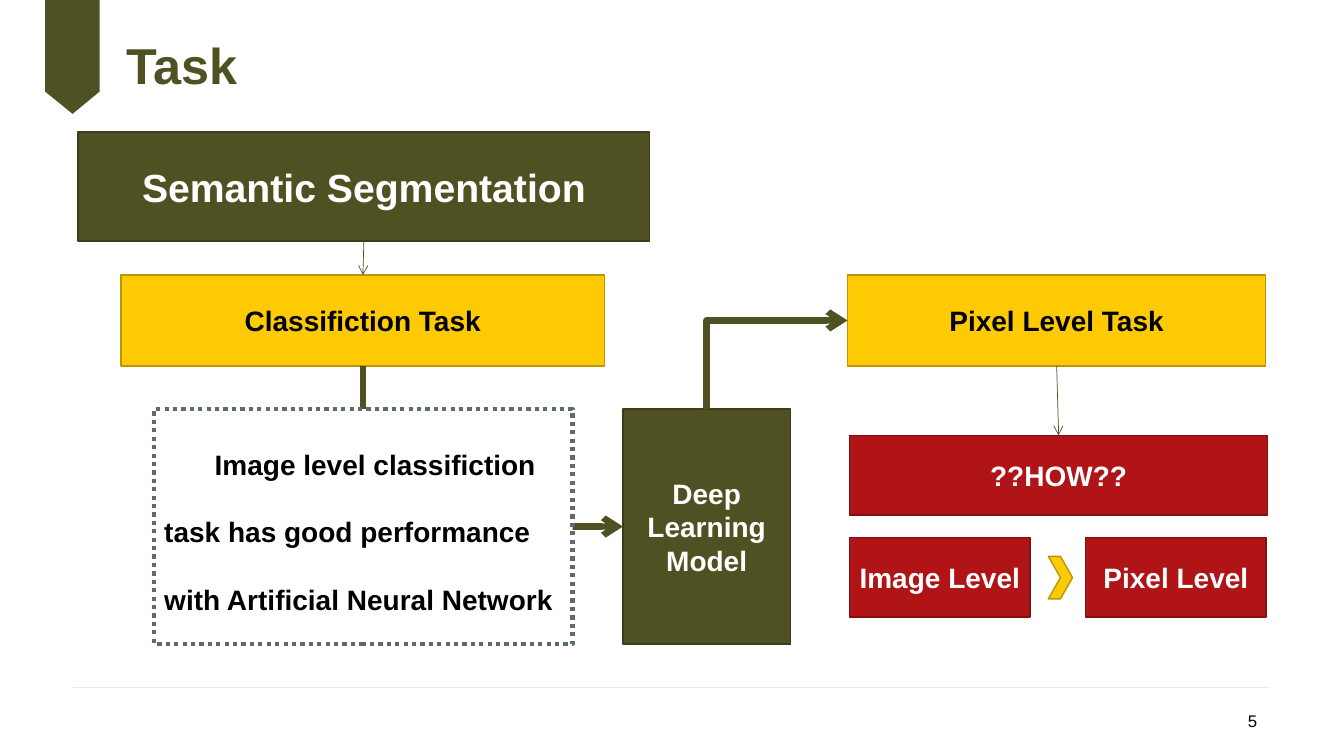
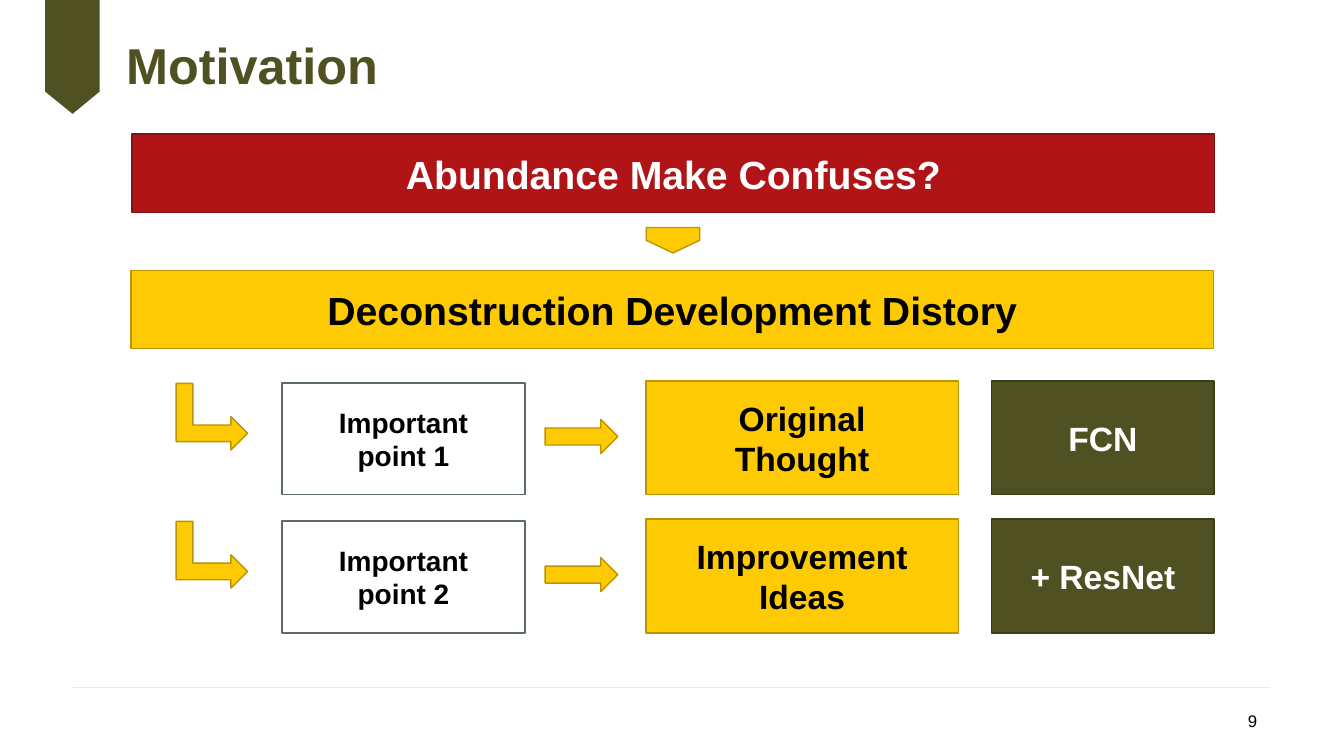
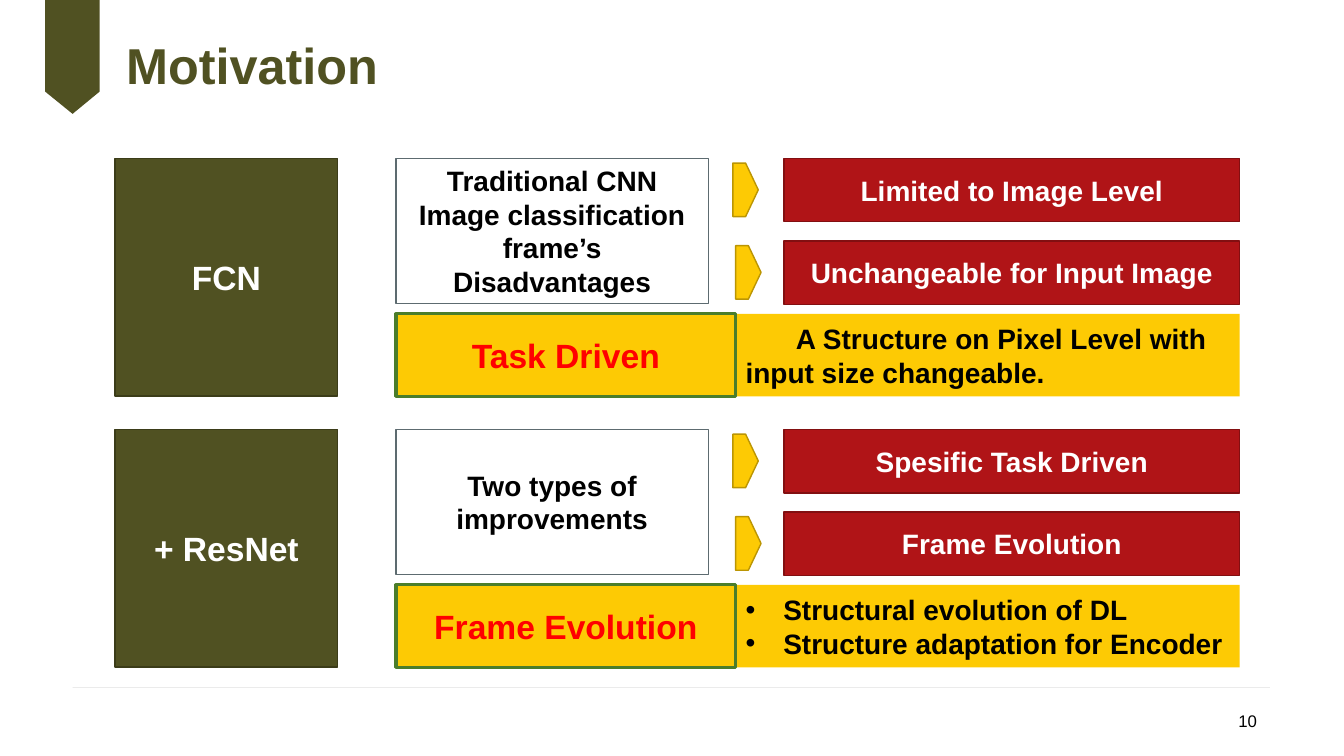
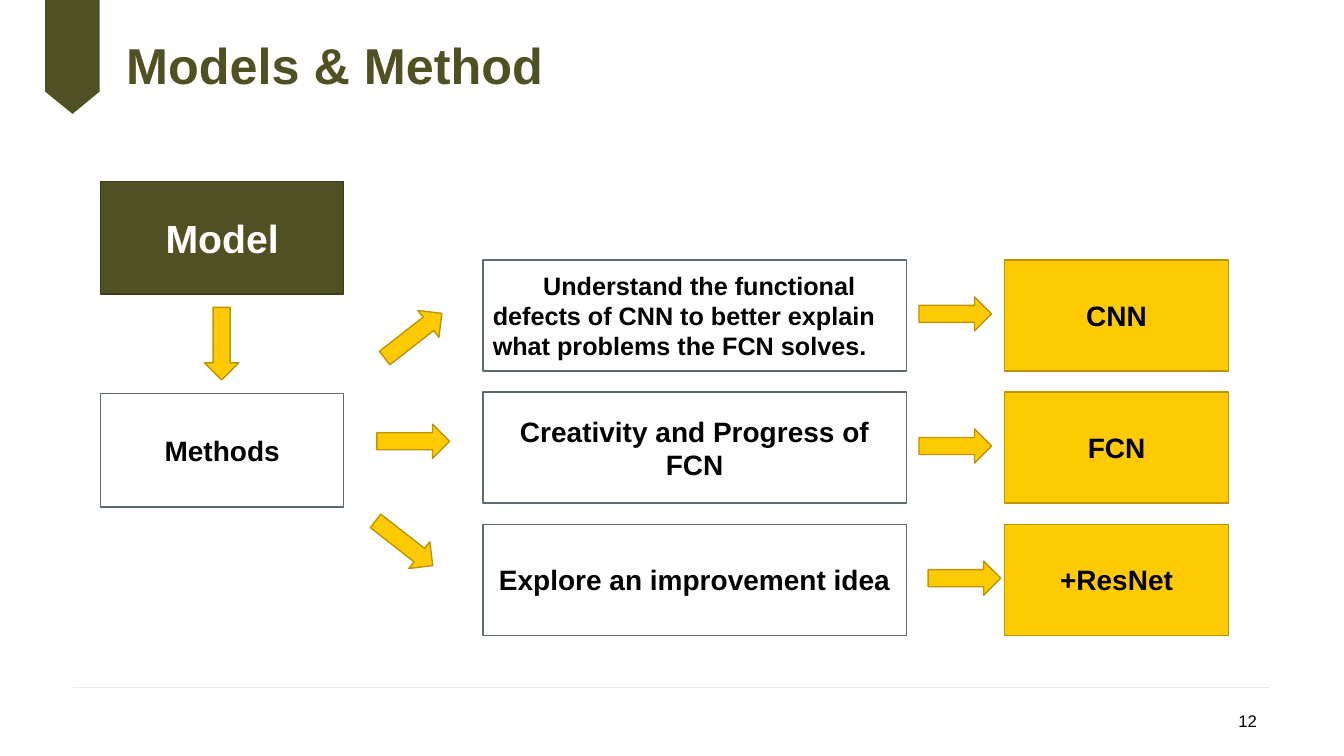
from dataclasses import dataclass
from typing import Optional

from lxml import etree
from pptx import Presentation
from pptx import util as u
from pptx.dml.color import RGBColor
from pptx.enum import dml, shapes, text
from pptx.oxml.ns import qn

SHAPE = shapes.MSO_SHAPE
CONNECTOR = shapes.MSO_CONNECTOR
TOP, LEFT, BOTTOM = 0, 1, 2


@dataclass(frozen=True)
class Style:
    fill: str
    ink: str
    line: Optional[str] = None
    weight: float = 1
    dash: Optional[dml.MSO_LINE] = None


class Theme:
    font = "Arial"
    olive, black, rule = "505122", "000000", "BFBFBF"
    title, banner, label, body, note, number = 36, 28, 24, 20, 18, 12
    first_line = 1.27
    bullet_indent = 0.95
    dark = Style(olive, "FFFFFF", "3B3C19")
    gold = Style("FDCA04", black, "BB9503")
    red = Style("B01417", "FFFFFF", "820F11")
    plain = Style("FFFFFF", black, "5D6B70")
    dotted = Style("FFFFFF", black, "5D6B70", 3, dml.MSO_LINE.ROUND_DOT)
    answer = Style("FDCA04", "FF0000", "4B7D2B", 2.25)
    panel = Style("FDCA04", black)


def rgb(value):
    return RGBColor.from_string(value)


def cm(*lengths):
    return [u.Cm(length) for length in lengths]


def write(frame, lines, size, color, bold=True, align="CENTER", first_line=0,
          bullets=False, spacing=None):
    """Fill a text frame with one paragraph per line."""
    frame.word_wrap = True
    for index, line in enumerate(lines):
        para = frame.add_paragraph() if index else frame.paragraphs[0]
        para.text = line
        para.alignment = text.PP_ALIGN[align]
        properties = para._p.get_or_add_pPr()
        if spacing:
            para.line_spacing = spacing
        if first_line:
            properties.set("indent", str(u.Cm(first_line)))
        if bullets:
            indent = u.Cm(Theme.bullet_indent)
            properties.set("marL", str(indent))
            properties.set("indent", str(-indent))
            etree.SubElement(properties, qn("a:buFont"), typeface=Theme.font)
            etree.SubElement(properties, qn("a:buChar"), char="•")
        para.font.name = Theme.font
        para.font.size = u.Pt(size)
        para.font.bold = bold
        para.font.color.rgb = rgb(color)


def add_text(slide, at, line, size, color, bold, align="LEFT", margin=None, spacing=None):
    frame = slide.shapes.add_textbox(*cm(*at)).text_frame
    frame.vertical_anchor = text.MSO_ANCHOR.MIDDLE
    if margin is not None:
        frame.margin_left = frame.margin_right = u.Cm(margin)
        frame.margin_top = frame.margin_bottom = u.Cm(margin)
    write(frame, [line], size, color, bold, align, spacing=spacing)


def paint(shape, style):
    shape.shadow.inherit = False
    shape.fill.solid()
    shape.fill.fore_color.rgb = rgb(style.fill)
    if style.line is None:
        shape.line.fill.background()
        return
    shape.line.color.rgb = rgb(style.line)
    shape.line.width = u.Pt(style.weight)
    if style.dash:
        shape.line.dash_style = style.dash


def add_box(parent, at, style, lines, size=Theme.body, anchor="MIDDLE", **layout):
    """Add a rectangle with text to a slide or a group."""
    box = parent.shapes.add_shape(SHAPE.RECTANGLE, *cm(*at))
    paint(box, style)
    box.text_frame.vertical_anchor = text.MSO_ANCHOR[anchor]
    write(box.text_frame, lines, size, style.ink, **layout)
    return box


def add_symbol(slide, kind, at, rotation=0):
    symbol = slide.shapes.add_shape(kind, *cm(*at))
    paint(symbol, Theme.gold)
    symbol.rotation = rotation


def add_arrow(slide, left, top, rotation=0):
    add_symbol(slide, SHAPE.RIGHT_ARROW, (left, top, 1.83, 0.86), rotation)


def add_pentagon(slide, left, top, rotation=0):
    add_symbol(slide, SHAPE.PENTAGON, (left, top, 0.64, 1.35), rotation)


def add_line(slide, kind, ends, color, weight):
    """Add a connector and return it with its line element."""
    line = slide.shapes.add_connector(kind, *cm(*ends))
    line.line.color.rgb = rgb(color)
    line.line.width = u.Pt(weight)
    outline = line.line._get_or_add_ln()
    etree.SubElement(line._element.spPr, qn("a:effectLst"))
    return line, outline


def link(slide, start, start_side, end, end_side, elbow=False):
    """Join two boxes; an elbow runs level from its start, where its arrowhead is."""
    kind, weight, tip = ((CONNECTOR.ELBOW, 4.5, "a:headEnd") if elbow
                         else (CONNECTOR.STRAIGHT, 0.5, "a:tailEnd"))
    line, outline = add_line(slide, kind, (0, 0, 0, 0), Theme.olive, weight)
    line.begin_connect(start, start_side)
    line.end_connect(end, end_side)
    etree.SubElement(outline, qn(tip), type="arrow")
    if elbow:
        line._element.spPr.find(qn("a:prstGeom")).set("prst", "bentConnector2")


def add_ribbon(slide):
    corners = [cm(*point) for point in
               ((2.51, 0), (2.51, 2.31), (1.83, 2.87), (1.14, 2.31))]
    builder = slide.shapes.build_freeform(*cm(1.14, 0))
    builder.add_line_segments(corners, close=True)
    paint(builder.convert_to_shape(), Style(Theme.olive, Theme.black))


def add_slide(deck, title, number):
    """Add a slide with the rule, ribbon, page number and title."""
    slide = deck.slides.add_slide(deck.slide_layouts[6])
    outline = add_line(slide, CONNECTOR.STRAIGHT, (1.83, 17.32, 32, 17.32),
                       Theme.rule, 0.25)[1]
    etree.SubElement(outline.find(".//" + qn("a:srgbClr")), qn("a:alpha"), val="47000")
    add_ribbon(slide)
    add_text(slide, (24.31, 17.65, 7.62, 1.02), str(number), Theme.number,
             Theme.black, False, "RIGHT")
    add_text(slide, (3.18, 0.64, 22.68, 2.18), title, Theme.title,
             Theme.olive, True, margin=0, spacing=0.9)
    return slide


def build_task(deck):
    slide = add_slide(deck, "Task", 5)
    pixel_task = add_box(slide, (21.36, 6.93, 10.54, 2.29), Theme.gold,
                         ["Pixel Level Task"])
    image_task = add_box(slide, (3.05, 6.93, 12.19, 2.29), Theme.gold,
                         ["Classifiction Task"])
    topic = add_box(slide, (1.97, 3.33, 14.4, 2.74), Theme.dark,
                    ["Semantic Segmentation"], Theme.banner)
    model = add_box(slide, (15.7, 10.31, 4.22, 5.92), Theme.dark,
                    ["Deep Learning", "Model"])
    question = add_box(slide, (21.41, 10.97, 10.54, 2.01), Theme.red, ["??HOW??"])
    link(slide, model, LEFT, image_task, BOTTOM, elbow=True)
    add_box(slide, (3.89, 10.31, 10.54, 5.92), Theme.dotted,
            ["Image level classifiction task has good performance "
             "with Artificial Neural Network"],
            anchor="TOP", align="LEFT", first_line=Theme.first_line, spacing=2.0)
    link(slide, pixel_task, LEFT, model, TOP, elbow=True)
    for left, level in ((21.41, "Image Level"), (27.36, "Pixel Level")):
        add_box(slide, (left, 13.54, 4.55, 2.01), Theme.red, [level])
    add_symbol(slide, SHAPE.CHEVRON, (26.42, 14.02, 0.61, 1.07))
    link(slide, topic, BOTTOM, image_task, TOP)
    link(slide, pixel_task, BOTTOM, question, TOP)


def build_history(deck):
    slide = add_slide(deck, "Motivation", 9)
    add_box(slide, (3.33, 3.38, 27.28, 1.98), Theme.red,
            ["Abundance Make Confuses?"], Theme.banner)
    add_pentagon(slide, 16.64, 5.38, 90)
    add_box(slide, (3.3, 6.81, 27.28, 1.98), Theme.gold,
            ["Deconstruction Development Distory"], Theme.banner)
    rows = ((["Important", "point 1"], ["Original", "Thought"], "FCN"),
            (["Important", "point 2"], ["Improvement", "Ideas"], "+ ResNet"))
    for index, (point, idea, network) in enumerate(rows):
        top = 9.6 + 3.48 * index
        add_symbol(slide, SHAPE.BENT_UP_ARROW, (4.5, top, 1.68, 1.8), 90)
        add_box(slide, (7.11, top + 0.05, 6.12, 2.82), Theme.plain, point)
        add_arrow(slide, 13.74, top + 0.97)
        add_box(slide, (16.28, top, 7.87, 2.87), Theme.gold, idea, Theme.label)
        add_box(slide, (24.99, top, 5.61, 2.87), Theme.dark, [network], Theme.label)


def build_motivation(deck):
    slide = add_slide(deck, "Motivation", 10)
    rows = (
        ("FCN",
         ["Traditional CNN Image classification frame’s", "Disadvantages"],
         ("Limited to Image Level", "Unchangeable for Input Image"),
         "Task Driven",
         ["A Structure on Pixel Level with input size changeable."],
         {"first_line": Theme.first_line}),
        ("+ ResNet",
         ["Two types of improvements"],
         ("Spesific Task Driven", "Frame Evolution"),
         "Frame Evolution",
         ["Structural evolution of DL", "Structure adaptation for Encoder"],
         {"bullets": True}),
    )
    for index, (network, subject, findings, answer, details, layout) in enumerate(rows):
        top = 3.99 + 6.83 * index
        add_box(slide, (2.9, top, 5.61, 5.99), Theme.dark, [network], Theme.label)
        add_box(slide, (9.98, top, 7.87, 3.66), Theme.plain, subject)
        for step, finding in enumerate(findings):
            level = top + 2.08 * step
            add_box(slide, (19.76, level, 11.48, 1.6), Theme.red, [finding])
            add_pentagon(slide, 18.47 + 0.07 * step, level + 0.12)
        group = slide.shapes.add_group_shape()
        add_box(group, (18.54, top + 3.92, 12.7, 2.08), Theme.panel, details,
                align="LEFT", **layout)
        add_box(group, (9.98, top + 3.92, 8.56, 2.08), Theme.answer, [answer],
                Theme.label)


def build_methods(deck):
    slide = add_slide(deck, "Models & Method", 12)
    add_box(slide, (2.54, 4.57, 6.12, 2.84), Theme.dark, ["Model"], Theme.banner)
    add_box(slide, (2.54, 9.91, 6.12, 2.87), Theme.plain, ["Methods"])
    for arrow in ((4.67, 8.23, 90), (9.5, 8.03, 322), (9.5, 10.69), (9.27, 13.26, 38)):
        add_arrow(slide, *arrow)
    rows = (
        ("Understand the functional defects of CNN to better explain "
         "what problems the FCN solves.", "CNN", 23.16,
         {"size": Theme.note, "align": "LEFT", "first_line": Theme.first_line}),
        ("Creativity and Progress of FCN", "FCN", 23.16, {}),
        ("Explore an improvement idea", "+ResNet", 23.39, {}),
    )
    for index, (method, network, arrow_left, layout) in enumerate(rows):
        top = 6.55 + 3.33 * index
        add_box(slide, (12.17, top, 10.67, 2.8), Theme.plain, [method], **layout)
        add_arrow(slide, arrow_left, top + 0.93)
        add_box(slide, (25.32, top, 5.64, 2.8), Theme.gold, [network])


def main():
    deck = Presentation()
    deck.slide_width, deck.slide_height = cm(33.87, 19.05)
    build_task(deck)
    build_history(deck)
    build_motivation(deck)
    build_methods(deck)
    deck.save("out.pptx")


if __name__ == "__main__":
    main()
